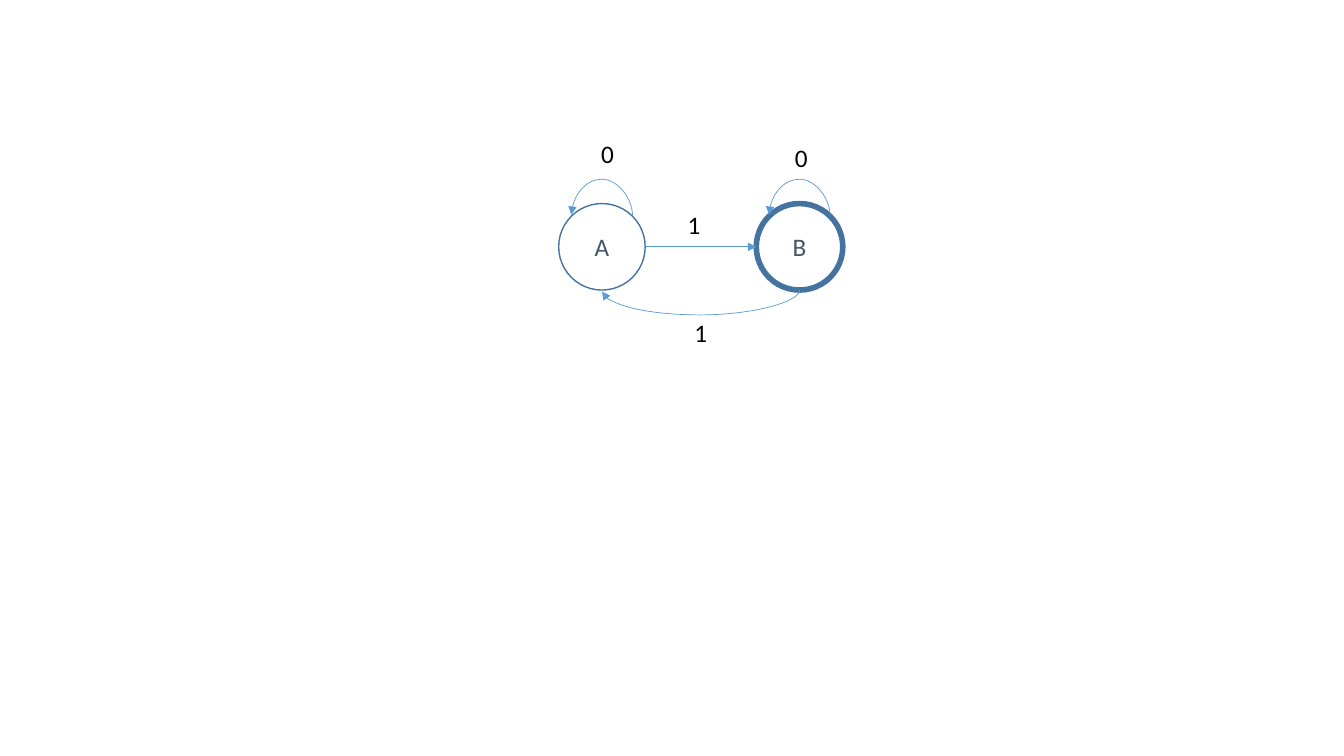
"""Build a slide with a two-state automaton that tracks the parity of ones."""
from dataclasses import dataclass
from math import sqrt

from lxml.etree import SubElement
from pptx import Presentation
from pptx.dml.color import RGBColor
from pptx.enum.shapes import MSO_CONNECTOR, MSO_SHAPE
from pptx.enum.text import MSO_ANCHOR, PP_ALIGN
from pptx.oxml.ns import qn
from pptx.shapes.autoshape import Shape
from pptx.shapes.connector import Connector
from pptx.slide import Slide
from pptx.text.text import _Paragraph
from pptx.util import Cm, Pt


@dataclass(frozen=True)
class Theme:
    """Colours, type and line sizes of the slide."""
    font: str = "Calibri"
    size: float = 18
    outline: RGBColor = RGBColor(0x43, 0x73, 0x9E)
    arrow: RGBColor = RGBColor(0x5B, 0x9B, 0xD5)
    state_text: RGBColor = RGBColor(0x44, 0x54, 0x6A)
    label_text: RGBColor = RGBColor(0, 0, 0)
    arrow_width: float = 0.5


@dataclass(frozen=True)
class State:
    """A state circle, centred at cx."""
    name: str
    cx: float
    line_width: float


@dataclass(frozen=True)
class Label:
    """An input symbol beside a transition."""
    symbol: str
    x: float
    y: float


THEME = Theme()
RADIUS = 1.09
DIAGONAL = RADIUS / sqrt(2)
CENTRE_Y = 6.22
LOOP_HEIGHT = 0.94
RETURN_DEPTH = 0.63
CURVE_STEP = Pt(1)
TOP_LEFT, LEFT, BOTTOM, RIGHT, TOP_RIGHT = 1, 2, 4, 6, 7

START = State("A", 15.17, 1)
ACCEPTING = State("B", 20.15, 4)
LABELS = (
    Label("0", 14.9, 3.35),
    Label("1", 17.08, 5.16),
    Label("0", 19.78, 3.45),
    Label("1", 17.25, 7.87),
)


def set_font(p: _Paragraph, color: RGBColor) -> None:
    """Apply the theme's type to a paragraph."""
    p.font.name = THEME.font
    p.font.size = Pt(THEME.size)
    p.font.color.rgb = color


def add_state(s: Slide, state: State) -> Shape:
    """Draw a state circle with its name."""
    sp = s.shapes.add_shape(
        MSO_SHAPE.OVAL, Cm(state.cx - RADIUS), Cm(CENTRE_Y - RADIUS),
        Cm(2 * RADIUS), Cm(2 * RADIUS))
    sp.shadow.inherit = False
    sp.fill.background()
    sp.line.color.rgb = THEME.outline
    sp.line.width = Pt(state.line_width)
    tf = sp.text_frame
    tf.vertical_anchor = MSO_ANCHOR.MIDDLE
    p = tf.paragraphs[0]
    p.text = state.name
    p.alignment = PP_ALIGN.CENTER
    set_font(p, THEME.state_text)
    return sp


def add_label(s: Slide, label: Label) -> None:
    """Write the input symbol of a transition."""
    sp = s.shapes.add_textbox(Cm(label.x), Cm(label.y), Cm(0.84), Cm(1.02))
    tf = sp.text_frame
    tf.word_wrap = False
    p = tf.paragraphs[0]
    p.text = label.symbol
    set_font(p, THEME.label_text)


def finish_arrow(cn: Connector, source: Shape, source_site: int,
                 target: Shape, target_site: int) -> None:
    """Style a transition and join it to the sites of its circles."""
    cn.line.color.rgb = THEME.arrow
    cn.line.width = Pt(THEME.arrow_width)
    sp_pr = cn.element.spPr
    SubElement(sp_pr.find(qn("a:ln")), qn("a:tailEnd"), type="triangle")
    SubElement(sp_pr, qn("a:effectLst"))
    joints = cn.element.find(".//" + qn("p:cNvCxnSpPr"))
    for tag, sp, site in (("a:stCxn", source, source_site),
                          ("a:endCxn", target, target_site)):
        SubElement(joints, qn(tag), id=str(sp.shape_id), idx=str(site))


def add_arc(s: Slide, x1: float, x2: float, y: float, depth: float) -> Connector:
    """Draw a curve from x1 leftwards to x2, bulging down for a positive depth."""
    down = depth > 0
    span = Cm(x1 - x2)
    centre_x = Cm((x1 + x2) / 2)
    centre_y = Cm(y) + (CURVE_STEP if down else -CURVE_STEP) // 2
    left, top = centre_x - CURVE_STEP // 2, centre_y - span // 2
    cn = s.shapes.add_connector(
        MSO_CONNECTOR.CURVE, left, top, left + CURVE_STEP, top + span)
    xfrm = cn.element.spPr.find(qn("a:xfrm"))
    xfrm.set("rot", str((90 if down else 270) * 60000))
    if not down:
        xfrm.set("flipV", "1")
    bulge = round(Cm(abs(depth)) / CURVE_STEP * 100000)
    SubElement(cn.element.find(".//" + qn("a:avLst")), qn("a:gd"),
               name="adj1", fmla=f"val {bulge}")
    return cn


def main() -> None:
    """Build and save the slide."""
    prs = Presentation()
    prs.slide_width, prs.slide_height = Cm(33.87), Cm(19.05)
    s = prs.slides.add_slide(prs.slide_layouts[6])
    circle_a, circle_b = (add_state(s, state) for state in (START, ACCEPTING))

    forward = s.shapes.add_connector(
        MSO_CONNECTOR.STRAIGHT, Cm(START.cx + RADIUS), Cm(CENTRE_Y),
        Cm(ACCEPTING.cx - RADIUS), Cm(CENTRE_Y))
    finish_arrow(forward, circle_a, RIGHT, circle_b, LEFT)

    for state, circle in ((START, circle_a), (ACCEPTING, circle_b)):
        loop = add_arc(s, state.cx + DIAGONAL, state.cx - DIAGONAL,
                       CENTRE_Y - DIAGONAL, -LOOP_HEIGHT)
        finish_arrow(loop, circle, TOP_RIGHT, circle, TOP_LEFT)

    back = add_arc(s, ACCEPTING.cx, START.cx, CENTRE_Y + RADIUS, RETURN_DEPTH)
    finish_arrow(back, circle_b, BOTTOM, circle_a, BOTTOM)

    for label in LABELS:
        add_label(s, label)
    prs.save("out.pptx")


if __name__ == "__main__":
    main()
